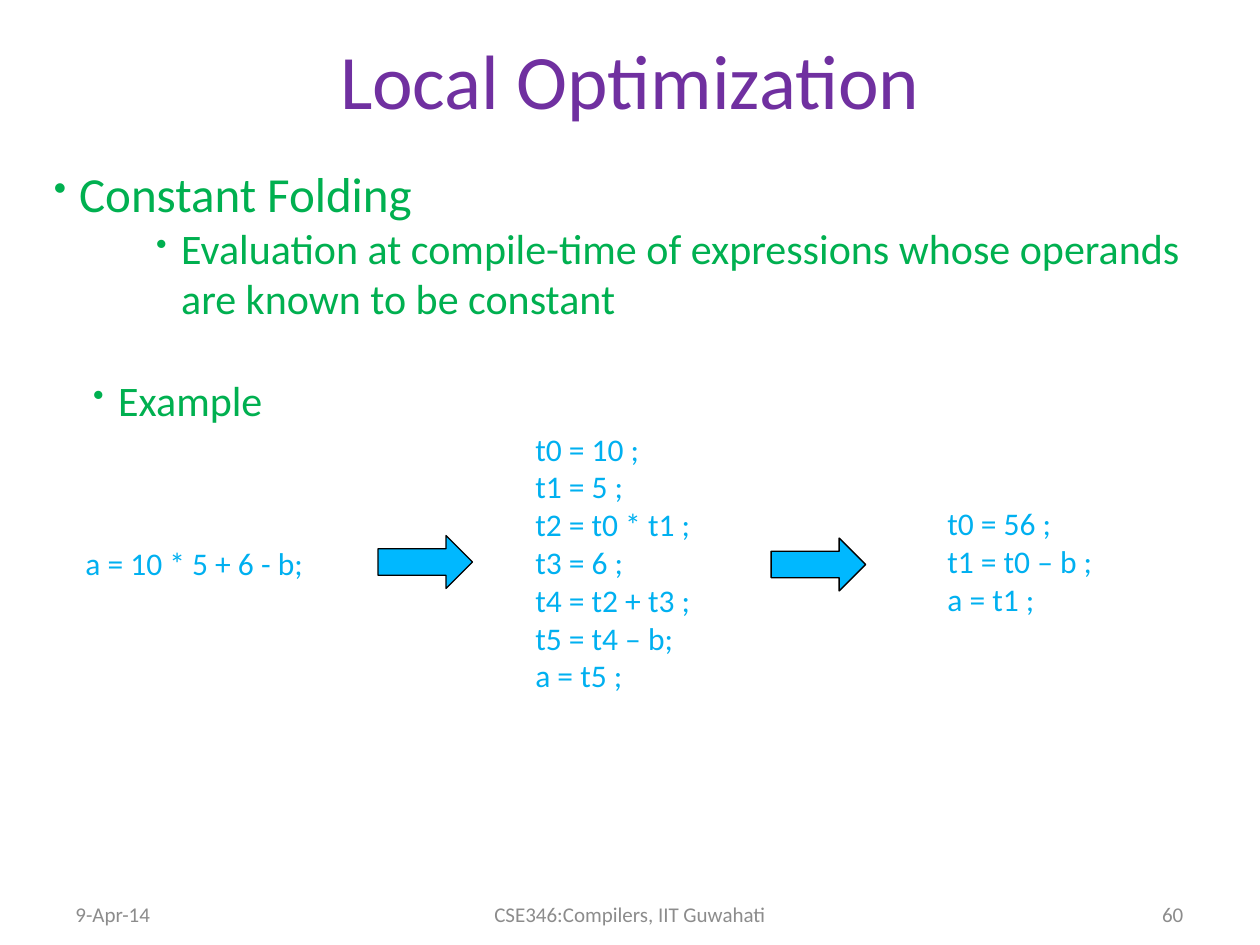
from lxml import etree
from pptx import Presentation
from pptx.dml.color import RGBColor
from pptx.enum import shapes, text
from pptx.oxml.ns import qn
from pptx.util import Inches, Pt

PURPLE, GREEN, CYAN, GREY = "7030A0", "00B050", "00B0F0", "8C8C8C"
ARROW_FILL, BLACK = "00B8FF", "000000"
LEFT, CENTER, RIGHT = text.PP_ALIGN.LEFT, text.PP_ALIGN.CENTER, text.PP_ALIGN.RIGHT
TOP, MIDDLE = text.MSO_ANCHOR.TOP, text.MSO_ANCHOR.MIDDLE


def color(value):
    return RGBColor.from_string(value)


def set_font(para, size, value):
    formats = {"name": "Calibri", "size": Pt(size)}
    for span in para.runs:
        for name, setting in formats.items():
            setattr(span.font, name, setting)
        span.font.color.rgb = color(value)


def add_frame(page, place, anchor=TOP, wrap=True):
    frame = page.shapes.add_textbox(*map(Inches, place)).text_frame
    frame.word_wrap = wrap
    frame.vertical_anchor = anchor
    return frame


def add_lines(page, place, lines, size, value, align=LEFT, anchor=TOP, wrap=True):
    """Add a text box with one paragraph for each line."""
    frame = add_frame(page, place, anchor, wrap)
    for index, line in enumerate(lines):
        para = frame.paragraphs[0] if index == 0 else frame.add_paragraph()
        para.text = line
        para.alignment = align
        set_font(para, size, value)


def set_bullet(para, indent, value):
    properties = para._p.get_or_add_pPr()
    properties.set("marL", str(Inches(indent)))
    properties.set("indent", str(Inches(-0.2)))
    bullet_color = etree.SubElement(properties, qn("a:buClr"))
    etree.SubElement(bullet_color, qn("a:srgbClr"), val=value)
    etree.SubElement(properties, qn("a:buSzPct"), val="75000")
    etree.SubElement(properties, qn("a:buChar"), char="•")


def add_bullets(page, place, items):
    frame = add_frame(page, place)
    for index, (words, level, indent, size, gap) in enumerate(items):
        para = frame.paragraphs[0] if index == 0 else frame.add_paragraph()
        para.text = words
        para.level = level
        set_bullet(para, indent, GREEN)
        if gap:
            para.space_before = Pt(gap)
        set_font(para, size, GREEN)


def add_arrow(page, left, top):
    arrow = page.shapes.add_shape(
        shapes.MSO_SHAPE.RIGHT_ARROW, *map(Inches, (left, top, 0.75, 0.42)))
    arrow.shadow.inherit = False
    arrow.fill.solid()
    arrow.fill.fore_color.rgb = color(ARROW_FILL)
    arrow.line.color.rgb = color(BLACK)
    arrow.line.width = Pt(0.75)


def main():
    deck = Presentation()
    deck.slide_width, deck.slide_height = Inches(10), Inches(7.5)
    page = deck.slides.add_slide(deck.slide_layouts[6])

    add_lines(page, (0.5, 0, 9, 1.25), ["Local Optimization"], 44, PURPLE, CENTER, MIDDLE)
    add_bullets(page, (0.33, 1.25, 9.42, 5.67), [
        ("Constant Folding", 0, 0.2, 28, 0),
        ("Evaluation at compile-time of expressions whose operands "
         "are known to be constant", 1, 1.01, 24, 0),
        ("Example", 0, 0.51, 24, 29),
    ])

    code_steps = [
        ((0.58, 4.27, 1.96, 0.4), ["a = 10 * 5 + 6 - b;"], False),
        ((4.15, 3.36, 1.79, 2.22), ["t0 = 10 ;", "t1 = 5 ;", "t2 = t0 * t1 ;", "t3 = 6 ;",
                                    "t4 = t2 + t3 ;", "t5 = t4 – b;", "a = t5 ;"], True),
        ((7.42, 3.95, 1.92, 1.01), ["t0 = 56 ;", "t1 = t0 – b ;", "a = t1 ;"], True),
    ]
    for place, lines, wrap in code_steps:
        add_lines(page, place, lines, 18, CYAN, wrap=wrap)
    for left, top in ((3, 4.25), (6.12, 4.27)):
        add_arrow(page, left, top)

    footers = [
        (0.5, 2.32, "9-Apr-14", LEFT),
        (3.42, 3.16, "CSE346:Compilers, IIT Guwahati", CENTER),
        (7.17, 2.32, "60", RIGHT),
    ]
    for left, width, words, align in footers:
        add_lines(page, (left, 7.09, width, 0.33), [words], 12, GREY, align, MIDDLE)

    deck.save("out.pptx")


if __name__ == "__main__":
    main()
